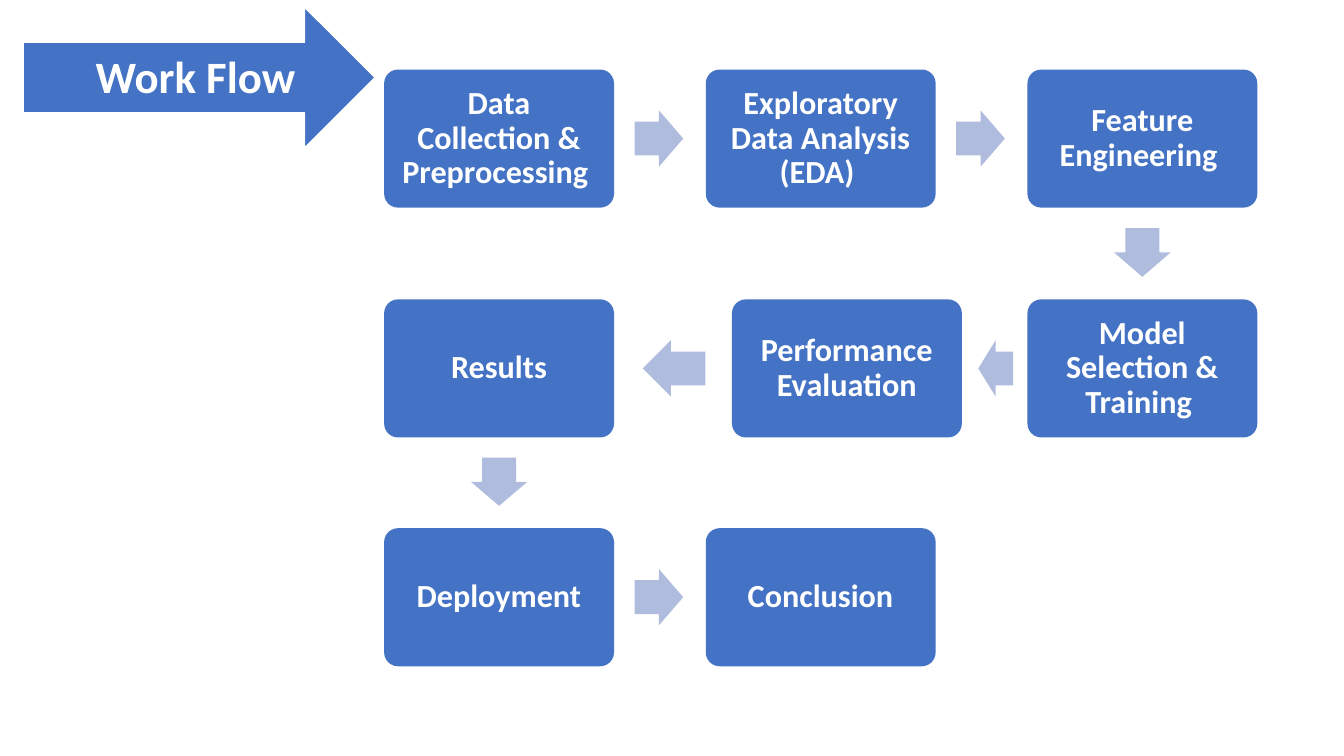
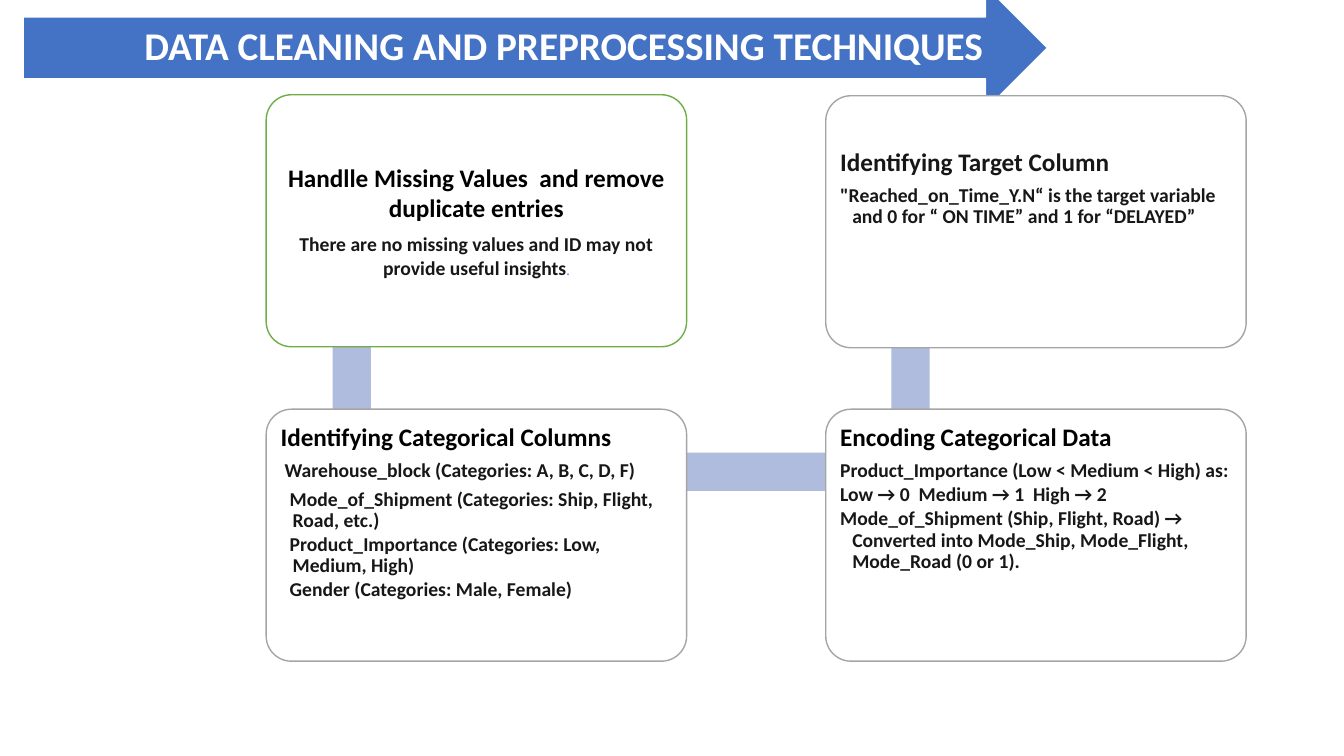
from itertools import pairwise
from math import atan2, degrees, hypot

from pptx import Presentation
from pptx.dml.color import RGBColor
from pptx.enum.shapes import MSO_SHAPE
from pptx.enum.text import MSO_ANCHOR, MSO_AUTO_SIZE, PP_ALIGN
from pptx.util import Inches, Pt

BLUE, PALE, GREEN, GREY = "4472C4", "B0BCDE", "70AD47", "A5A5A5"
WHITE, BLACK, INK = "FFFFFF", "000000", "181717"


def color(value):
    return RGBColor.from_string(value)


def assign(target, values):
    for name, value in values.items():
        setattr(target, name, value)


def margins(left, top, right, bottom):
    sides = zip(("left", "top", "right", "bottom"), (left, top, right, bottom))
    return {f"margin_{side}": Inches(size) for side, size in sides}


class Deck:
    FONT = {"name": "Calibri", "bold": True}
    CENTERED = {"alignment": PP_ALIGN.CENTER, "line_spacing": 0.9}
    PARAGRAPHS = {
        "heading": {"size": 18, "after": 6.5, "left": 0, "first": 0},
        "lead": {"size": 14, "after": 5, "left": 0.04, "first": 0},
        "item": {"size": 14, "after": 2, "left": 0.12, "first": -0.12},
        "indented": {"size": 14, "after": 2, "left": 0.12, "first": -0.03},
    }

    def __init__(self):
        self.file = Presentation()
        assign(self.file, {"slide_width": Inches(13.33), "slide_height": Inches(7.5)})
        self.page = None

    def add_page(self):
        self.page = self.file.slides.add_slide(self.file.slide_layouts[5])

    def shape(self, kind, place, fill, line=None, adjustments=(), rotation=0):
        box = self.page.shapes.add_shape(kind, *map(Inches, place))
        box.shadow.inherit = False
        box.rotation = rotation
        box.fill.solid()
        box.fill.fore_color.rgb = color(fill)
        if line:
            box.line.color.rgb = color(line)
            box.line.width = Pt(1)
        else:
            box.line.fill.background()
        for index, value in enumerate(adjustments):
            box.adjustments[index] = value
        return box

    def span(self, para, text, size, ink):
        span = para.add_run()
        span.text = text
        assign(span.font, {**self.FONT, "size": Pt(size)})
        span.font.color.rgb = color(ink)

    def title(self, text, size, arrow_place, text_place):
        arrow = self.shape(MSO_SHAPE.RIGHT_ARROW, arrow_place, BLUE, WHITE)
        title = self.page.shapes.title
        title._element.addprevious(arrow._element)
        assign(title, dict(zip(("left", "top", "width", "height"), map(Inches, text_place))))
        assign(title.text_frame, {
            **margins(0, 0, 0, 0), "word_wrap": True,
            "auto_size": MSO_AUTO_SIZE.NONE, "vertical_anchor": MSO_ANCHOR.MIDDLE,
        })
        para = title.text_frame.paragraphs[0]
        assign(para, self.CENTERED)
        self.span(para, text, size, WHITE)

    def step(self, text, place):
        box = self.shape(MSO_SHAPE.ROUNDED_RECTANGLE, place, BLUE, adjustments=[0.1])
        assign(box.text_frame, {
            **margins(0.1, 0.1, 0.1, 0.1), "word_wrap": True,
            "vertical_anchor": MSO_ANCHOR.MIDDLE,
        })
        para = box.text_frame.paragraphs[0]
        assign(para, self.CENTERED)
        self.span(para, text, 23, WHITE)

    def flow_arrow(self, start, end):
        across = end[0] - start[0]
        down = end[1] - start[1]
        distance = hypot(across, down)
        gap = distance - (start[2] if across else start[3])
        length, thickness, setback = 0.53 * gap, 0.56, 0.01
        center_x = start[0] + (start[2] + across) / 2 - setback * across / distance
        center_y = start[1] + (start[3] + down) / 2 - setback * down / distance
        place = (center_x - length / 2, center_y - thickness / 2, length, thickness)
        self.shape(MSO_SHAPE.RIGHT_ARROW, place, PALE, adjustments=[0.6, 0.5],
                   rotation=degrees(atan2(down, across)))

    def card(self, place, line, paragraphs, top=0.08, centered=False):
        box = self.shape(MSO_SHAPE.ROUNDED_RECTANGLE, place, WHITE, line, [0.1])
        frame = box.text_frame
        assign(frame, {
            **margins(0.07, top, 0.07, 0.08), "word_wrap": True,
            "vertical_anchor": MSO_ANCHOR.MIDDLE if centered else MSO_ANCHOR.TOP,
        })
        for index, (style, ink, text) in enumerate(paragraphs):
            para = frame.add_paragraph() if index else frame.paragraphs[0]
            look = self.PARAGRAPHS[style]
            assign(para, {
                "alignment": PP_ALIGN.CENTER if centered else PP_ALIGN.LEFT,
                "line_spacing": 1.0 if centered else 0.9,
                "space_after": Pt(look["after"]),
            })
            properties = para._p.get_or_add_pPr()
            properties.set("marL", str(Inches(0 if centered else look["left"])))
            properties.set("indent", str(Inches(look["first"])))
            self.span(para, text, look["size"], ink)
        return box


def work_flow(deck):
    deck.add_page()
    deck.title("Work Flow", 32, (0.23, 0.07, 3.49, 1.4), (0.51, 0.43, 2.86, 0.7))
    left, middle, right = 3.81, 7, 10.19
    first, second, third = 0.69, 2.97, 5.24
    steps = [
        ("Data Collection & Preprocessing ", left, first),
        ("Exploratory Data Analysis (EDA) ", middle, first),
        ("Feature Engineering ", right, first),
        ("Model Selection & Training ", right, second),
        ("Performance Evaluation", 7.26, second),
        ("Results", left, second),
        ("Deployment", left, third),
        ("Conclusion", middle, third),
    ]
    places = [(x, y, 2.28, 1.37) for _, x, y in steps]
    for (text, _, _), place in zip(steps, places):
        deck.step(text, place)
    for start, end in pairwise(places):
        deck.flow_arrow(start, end)


def data_cleaning(deck):
    deck.add_page()
    deck.title("DATA CLEANING AND PREPROCESSING TECHNIQUES", 28,
               (0.23, -0.14, 10.16, 1.23), (1.07, 0.12, 9.04, 0.71))
    for bar in ((3.3, 1.57, 0.38, 3.11), (3.49, 4.49, 5.53, 0.38), (8.84, 1.57, 0.38, 3.09)):
        deck.shape(MSO_SHAPE.RECTANGLE, bar, PALE)

    left, right, upper, lower = 2.64, 8.19, 0.95, 4.06
    size = (4.17, 2.5)
    missing = deck.card((left, upper - 0.01, *size), GREEN, [
        ("heading", BLACK, "Handlle Missing Values  and remove duplicate entries"),
        ("lead", INK, "There are no missing values and ID may not provide useful insights"),
    ], centered=True)
    deck.span(missing.text_frame.paragraphs[-1], ".", 8, BLUE)
    deck.card((left, lower, *size), GREY, [
        ("heading", BLACK, "Identifying Categorical Columns"),
        ("lead", INK, "Warehouse_block (Categories: A, B, C, D, F)"),
        ("indented", INK, "Mode_of_Shipment (Categories: Ship, Flight, Road, etc.)"),
        ("indented", INK, "Product_Importance (Categories: Low, Medium, High)"),
        ("indented", INK, "Gender (Categories: Male, Female)"),
    ])
    deck.card((right, lower, *size), GREY, [
        ("heading", BLACK, "Encoding Categorical Data"),
        ("item", INK, "Product_Importance (Low < Medium < High) as:"),
        ("item", INK, "Low → 0  Medium → 1  High → 2"),
        ("item", INK, "Mode_of_Shipment (Ship, Flight, Road) → Converted into "
                      "Mode_Ship, Mode_Flight, Mode_Road (0 or 1)."),
    ])
    deck.card((right, upper, *size), GREY, [
        ("heading", INK, "Identifying Target Column"),
        ("item", INK, "\"Reached_on_Time_Y.N“ is the target variable and 0 for "
                      "“ ON TIME” and 1 for “DELAYED”"),
    ], top=0.46)


def main():
    deck = Deck()
    work_flow(deck)
    data_cleaning(deck)
    deck.file.save("out.pptx")


if __name__ == "__main__":
    main()
